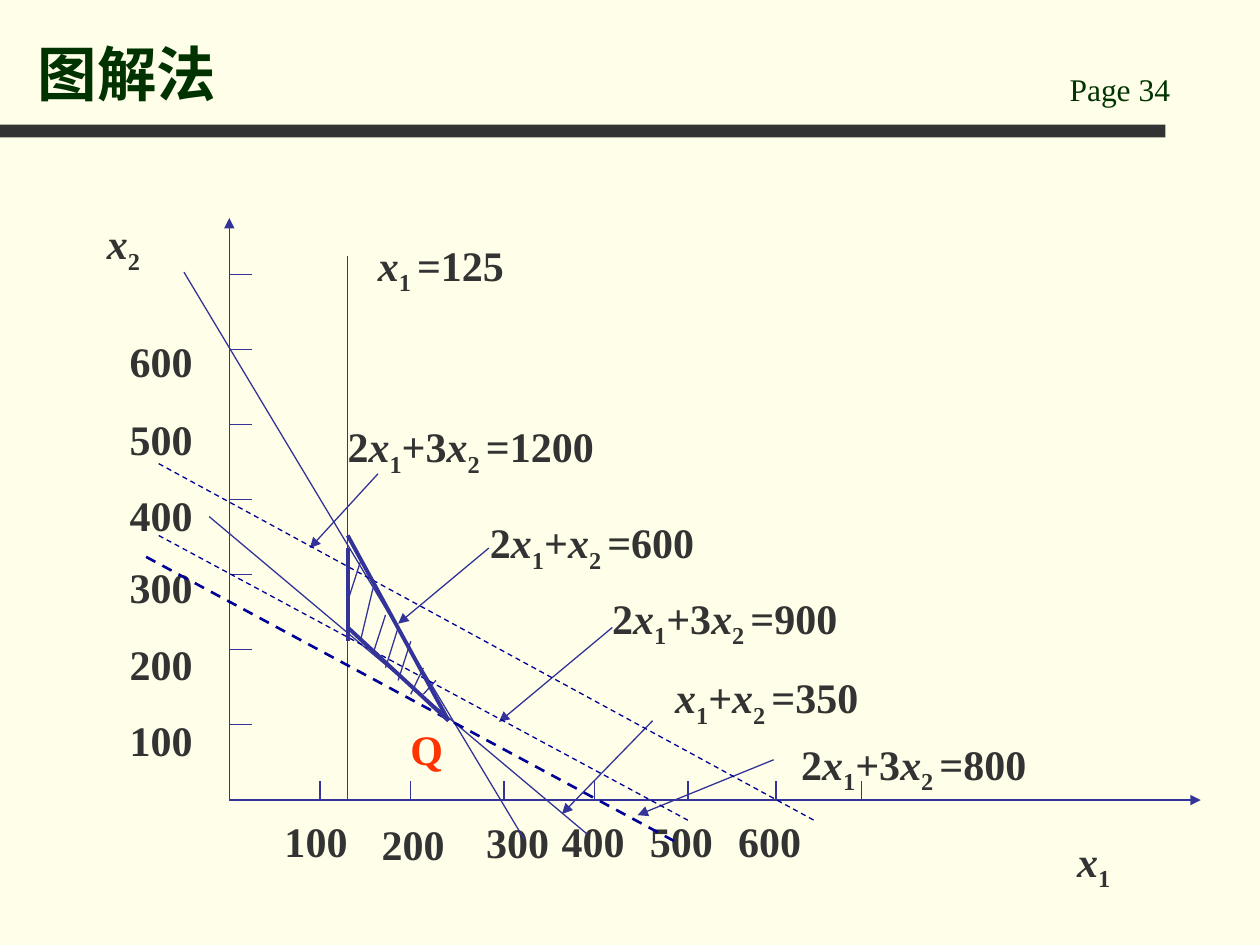
from lxml.etree import SubElement
from pptx import Presentation
from pptx.dml.color import RGBColor
from pptx.enum.dml import MSO_LINE
from pptx.enum.shapes import MSO_CONNECTOR, MSO_SHAPE
from pptx.enum.text import MSO_ANCHOR, MSO_AUTO_SIZE, PP_ALIGN
from pptx.oxml.ns import qn
from pptx.util import Inches, Pt

COLORS = {
    "page": "FFFFE9",
    "bar": "333333",
    "title": "003300",
    "text": "333333",
    "line": "333399",
    "objective": "000099",
    "optimum": "FF3300",
}
FONT = "Times New Roman"


def add_line(start, end, color="line", width=0.75, dashed=False, arrow=False):
    line = slide.shapes.add_connector(
        MSO_CONNECTOR.STRAIGHT, *(Inches(value) for value in (*start, *end))
    )
    line.line.color.rgb = RGBColor.from_string(COLORS[color])
    line.line.width = Pt(width)
    if dashed:
        line.line.dash_style = MSO_LINE.DASH
    if arrow:
        SubElement(line.line._get_or_add_ln(), qn("a:tailEnd"), type="triangle")
    SubElement(line._element.spPr, qn("a:effectLst"))


def add_label(text, left, top, width, color="text"):
    """Runs are split by |; an x is italic and the run after it is a subscript."""
    box = slide.shapes.add_textbox(Inches(left), Inches(top), Inches(width), Inches(0.4))
    box.text_frame.word_wrap = True
    box.text_frame.auto_size = MSO_AUTO_SIZE.SHAPE_TO_FIT_TEXT
    para = box.text_frame.paragraphs[0]
    para.line_spacing = 1.2
    space_before = SubElement(para._p.get_or_add_pPr(), qn("a:spcBef"))
    SubElement(space_before, qn("a:spcPct"), val="50000")
    previous = ""
    for piece in text.split("|"):
        span = para.add_run()
        span.text = piece
        span.font.name = FONT
        span.font.size = Pt(24)
        span.font.bold = True
        span.font.italic = piece == "x"
        span.font.color.rgb = RGBColor.from_string(COLORS[color])
        if previous == "x":
            span._r.get_or_add_rPr().set("baseline", "-25000")
        previous = piece


deck = Presentation()
deck.slide_width, deck.slide_height = Inches(10), Inches(7.5)
slide = deck.slides.add_slide(deck.slide_layouts[5])
slide.background.fill.solid()
slide.background.fill.fore_color.rgb = RGBColor.from_string(COLORS["page"])

# Header bar, page number and title
bar = slide.shapes.add_shape(
    MSO_SHAPE.RECTANGLE, Inches(0), Inches(0.99), Inches(9.25), Inches(0.1)
)
bar.shadow.inherit = False
bar.fill.solid()
bar.fill.fore_color.rgb = RGBColor.from_string(COLORS["bar"])
bar.line.fill.background()

page_box = slide.shapes.add_textbox(Inches(8.39), Inches(0.51), Inches(1.42), Inches(0.4))
page_box.text_frame.word_wrap = True
title = slide.shapes.title
title.left, title.top = Inches(0.2), Inches(0.13)
title.width, title.height = Inches(8.03), Inches(0.78)
title.text_frame.vertical_anchor = MSO_ANCHOR.BOTTOM
title.text_frame.auto_size = MSO_AUTO_SIZE.NONE
for box, text, size, bold in [(page_box, "Page 34", 18, False), (title, "图解法", 34, True)]:
    para = box.text_frame.paragraphs[0]
    para.alignment = PP_ALIGN.LEFT
    span = para.add_run()
    span.text = text
    span.font.name = FONT
    span.font.size = Pt(size)
    span.font.bold = bold
    span.font.color.rgb = RGBColor.from_string(COLORS["title"])

# Axes with ticks
origin_x, origin_y = 1.82, 6.35
add_line((origin_x, origin_y), (9.53, origin_y), arrow=True)
add_line((origin_x, origin_y), (origin_x, 1.73), arrow=True)
for x in (2.54, 3.26, 4, 4.72, 5.46, 6.16, 6.84):
    add_line((x, origin_y), (x, 6.2))
for step in range(7):
    y = 5.75 - 0.595 * step
    add_line((origin_x, y), (2, y))

# Axis numbers and names
x_labels = [(2.16, 6.34), (2.93, 6.37), (3.76, 6.35), (4.36, 6.34), (5.06, 6.34), (5.76, 6.34)]
y_label_tops = [5.54, 4.94, 4.33, 3.76, 3.15, 2.53]
for number, ((left, top), y_top) in enumerate(zip(x_labels, y_label_tops), start=1):
    add_label(f"{number}00", left, top, 0.83)
    add_label(f"{number}00", 0.93, y_top, 1.25)
add_label("x|1", 8.45, 6.49, 1.08)
add_label("x|2", 0.75, 1.59, 1.08)

# Equations and the arrows to their lines
for text, left, top, width in [
    ("x|1 |=125", 2.9, 1.76, 3.22),
    ("2|x|1|+3|x|2 |=1200", 2.66, 3.2, 3.05),
    ("2|x|1|+|x|2 |=600", 3.79, 3.96, 2.51),
    ("2|x|1|+3|x|2 |=900", 4.76, 4.56, 2.51),
    ("x|1|+|x|2 |=350", 5.26, 5.19, 2.51),
    ("2|x|1|+3|x|2 |=800", 6.26, 5.72, 2.51),
]:
    add_label(text, left, top, width)
for start, end in [
    ((3, 3.76), (2.46, 4.35)),
    ((3.88, 4.35), (3.16, 4.95)),
    ((4.86, 4.98), (3.96, 5.73)),
    ((5.18, 5.72), (4.46, 6.46)),
    ((6.14, 6.03), (5.06, 6.47)),
]:
    add_line(start, end, arrow=True)
add_label("Q", 3.16, 5.61, 0.5, "optimum")

# Constraint lines
for start, end in [
    ((2.76, 6.35), (2.76, 2.03)),
    ((1.46, 2.16), (4.16, 6.66)),
    ((1.66, 4.1), (4.66, 6.62)),
]:
    add_line(start, end)

# Objective lines
for start, end, width in [
    ((1.26, 3.68), (6.46, 6.51), 0.75),
    ((1.26, 4.25), (5.46, 6.51), 0.75),
    ((1.16, 4.42), (5.36, 6.68), 1.5),
]:
    add_line(start, end, "objective", width, dashed=True)

# Hatching of the feasible region
hatch_ends = [
    (4.46, 4.77), (4.67, 5.09), (4.88, 5.19), (4.98, 5.3),
    (5.09, 5.4), (5.3, 5.51), (5.4, 5.51),
]
for step, (upper, lower) in enumerate(hatch_ends):
    x = 2.76 + 0.1 * step
    add_line((x + 0.1, upper), (x, lower))

# Border of the feasible region
for start, end in [
    ((2.76, 4.35), (2.76, 5.09)),
    ((2.76, 4.25), (3.56, 5.72)),
    ((2.76, 4.98), (3.56, 5.72)),
]:
    add_line(start, end, width=2.25)

deck.save("out.pptx")
